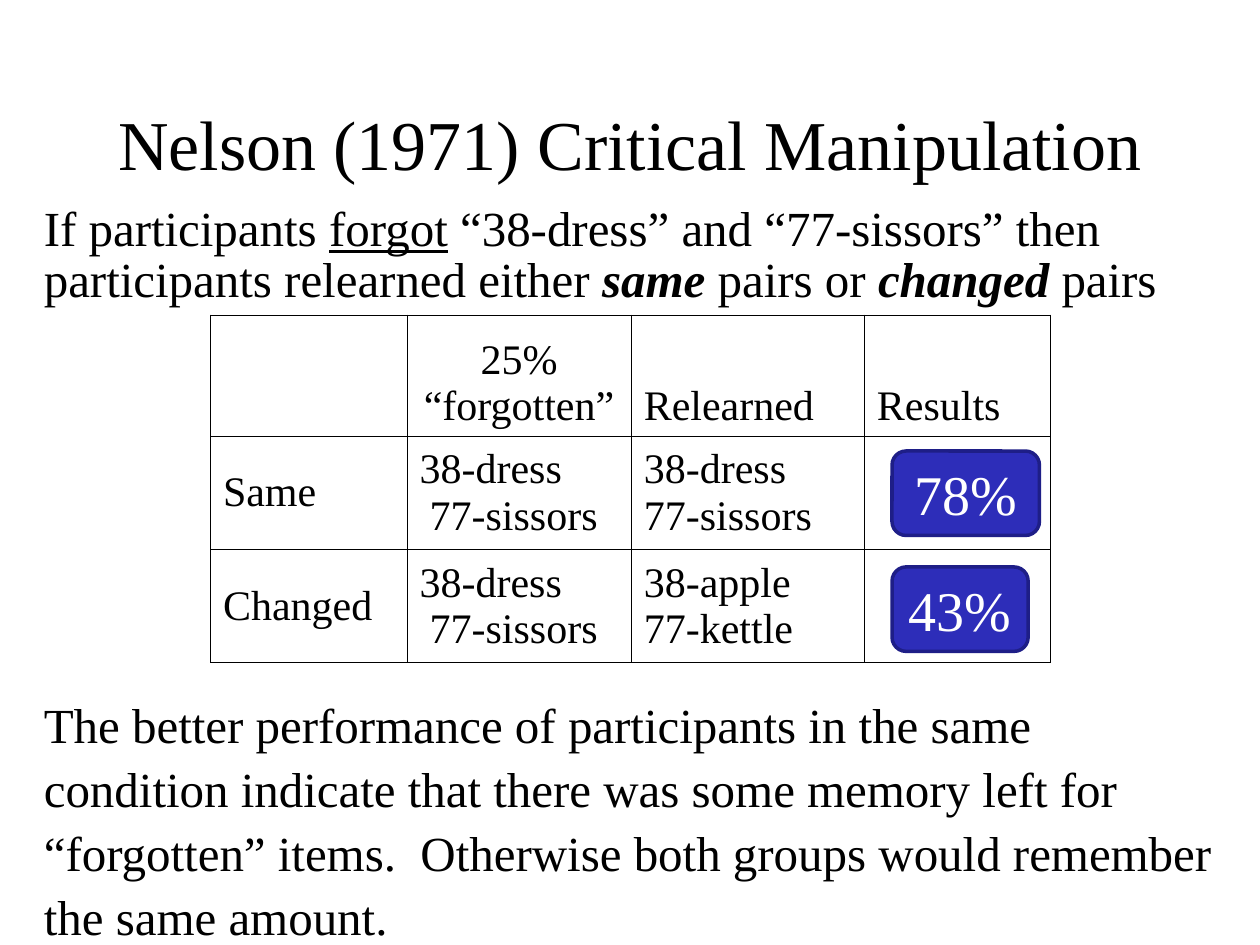
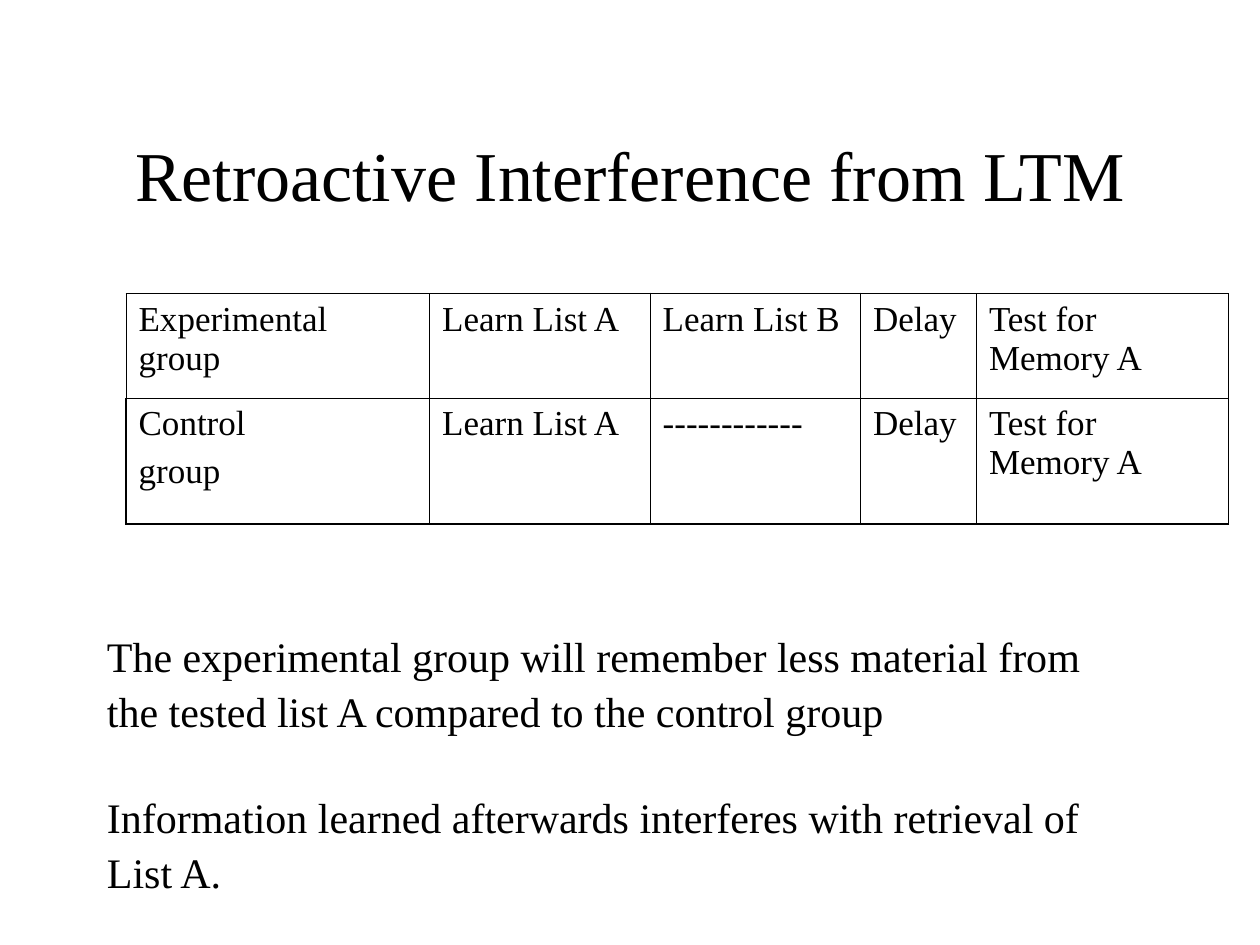
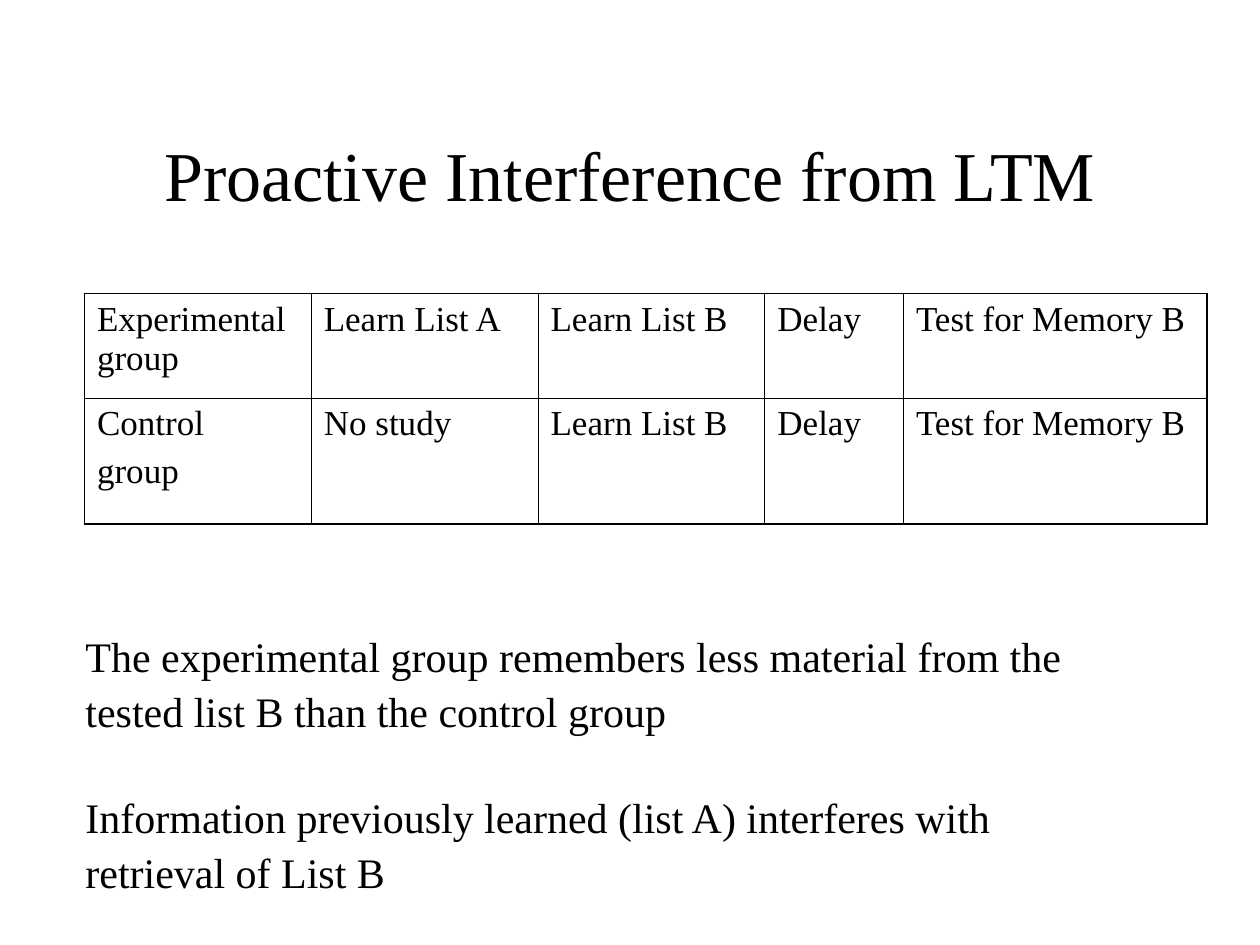
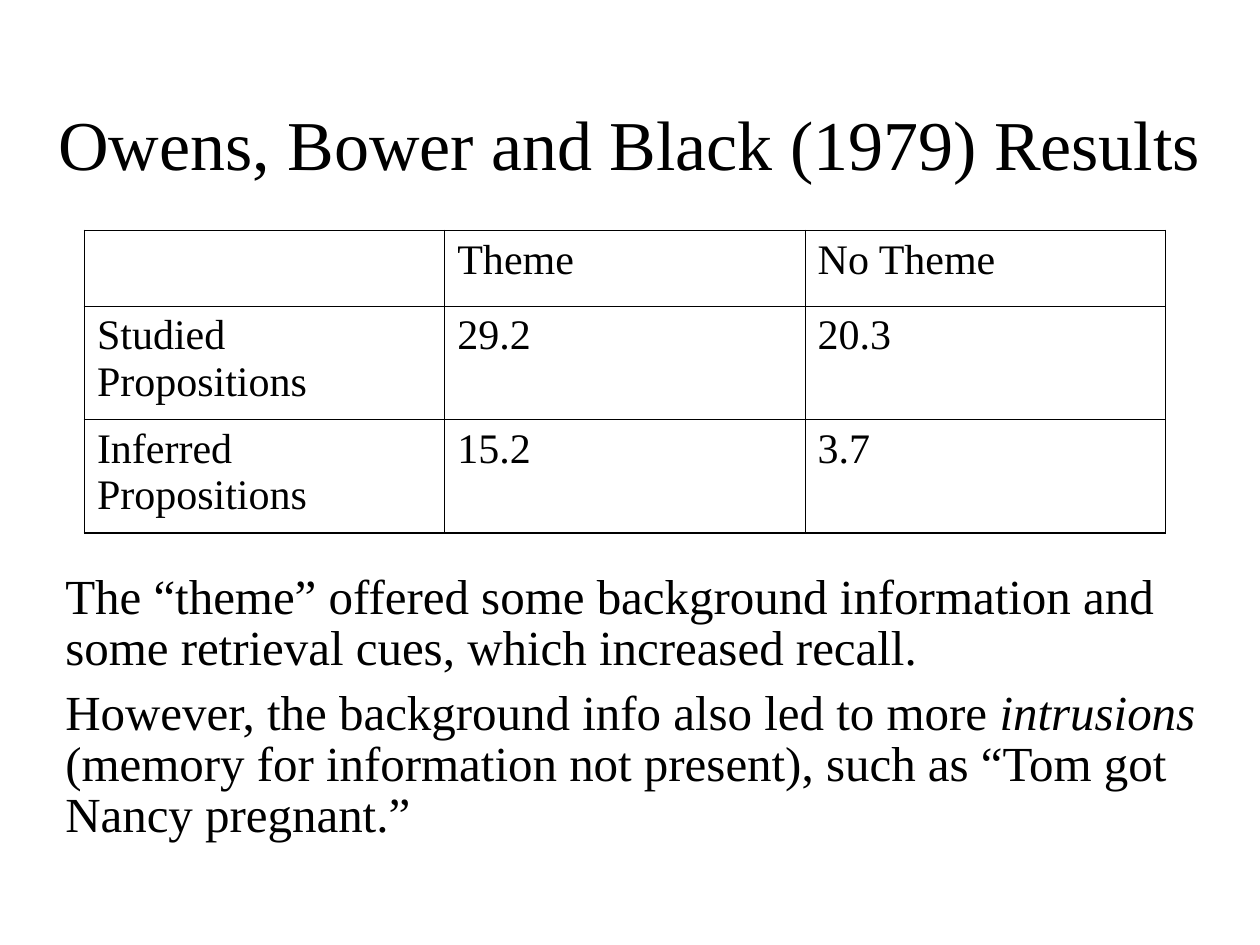
from dataclasses import dataclass
from typing import NamedTuple

from lxml import etree
from pptx import Presentation
from pptx.dml.color import RGBColor
from pptx.enum.shapes import MSO_SHAPE
from pptx.enum.text import MSO_ANCHOR, MSO_AUTO_SIZE, PP_ALIGN
from pptx.oxml.ns import qn
from pptx.util import Inches, Pt

LEFT, CENTER = PP_ALIGN.LEFT, PP_ALIGN.CENTER
TOP, MIDDLE, BOTTOM = MSO_ANCHOR.TOP, MSO_ANCHOR.MIDDLE, MSO_ANCHOR.BOTTOM
NO_AUTOFIT = MSO_AUTO_SIZE.NONE
ROUNDED_BOX = MSO_SHAPE.FLOWCHART_ALTERNATE_PROCESS
TITLE_ONLY = 5


@dataclass(frozen=True)
class Theme:
    font: str = "Times New Roman"
    ink: str = "000000"
    paper: str = "FFFFFF"
    badge_fill: str = "2D2DB9"
    badge_line: str = "1E1E87"
    title_size: int = 40
    badge_size: int = 32
    body_size: int = 28
    note_size: int = 24
    group_size: int = 20
    thin: float = 0.45
    thick: float = 1.08
    tight: float = 0.87
    loose: float = 1.09


class Box(NamedTuple):
    left: float
    top: float
    width: float
    height: float

    def lengths(self):
        return [Inches(value) for value in self]


class Run(NamedTuple):
    text: str
    bold: bool = False
    italic: bool = False
    underline: bool = False


class Cell(NamedTuple):
    lines: tuple = ()
    anchor: MSO_ANCHOR = TOP
    align: PP_ALIGN = LEFT
    hanging: float = 0


THEME = Theme()


# Text shared by titles, boxes, cells and badges
def write(frame, paragraphs, size, align=LEFT, color=THEME.ink, spacing=None, gap=0):
    """Each paragraph is a string or a list of runs."""
    for index, content in enumerate(paragraphs):
        paragraph = frame.add_paragraph() if index else frame.paragraphs[0]
        paragraph.alignment = align
        paragraph.space_before = Pt(gap if index else 0)
        if spacing:
            paragraph.line_spacing = spacing
        for part in [Run(content)] if isinstance(content, str) else content:
            run = paragraph.add_run()
            run.text = part.text
            font = run.font
            font.name, font.size = THEME.font, Pt(size)
            font.color.rgb = RGBColor.from_string(color)
            font.bold, font.italic, font.underline = part.bold, part.italic, part.underline


def add_titled_slide(presentation, title, box):
    slide = presentation.slides.add_slide(presentation.slide_layouts[TITLE_ONLY])
    slide.background.fill.solid()
    slide.background.fill.fore_color.rgb = RGBColor.from_string(THEME.paper)
    placeholder = slide.shapes.title
    placeholder.left, placeholder.top, placeholder.width, placeholder.height = box.lengths()
    frame = placeholder.text_frame
    frame.auto_size, frame.vertical_anchor = NO_AUTOFIT, MIDDLE
    write(frame, [title], THEME.title_size, CENTER)
    return slide


def add_text(slide, box, paragraphs, size, spacing, gap=0):
    frame = slide.shapes.add_textbox(*box.lengths()).text_frame
    frame.word_wrap = True
    write(frame, paragraphs, size, spacing=spacing, gap=gap)


def add_badge(slide, box, text):
    shape = slide.shapes.add_shape(ROUNDED_BOX, *box.lengths())
    shape.shadow.inherit = False
    shape.fill.solid()
    shape.fill.fore_color.rgb = RGBColor.from_string(THEME.badge_fill)
    shape.line.color.rgb = RGBColor.from_string(THEME.badge_line)
    shape.line.width = Pt(2)
    shape.text_frame.vertical_anchor = MIDDLE
    write(shape.text_frame, [text], THEME.badge_size, CENTER, THEME.paper)


# Tables
def set_borders(cell, widths):
    """Draw the four edges, given in the order left, right, top, bottom."""
    properties = cell._tc.get_or_add_tcPr()
    for index, (side, width) in enumerate(zip(("L", "R", "T", "B"), widths)):
        line = etree.Element(qn(f"a:ln{side}"), w=str(int(Pt(width))))
        fill = etree.SubElement(line, qn("a:solidFill"))
        etree.SubElement(fill, qn("a:srgbClr"), val=THEME.ink)
        properties.insert(index, line)


def add_grid(slide, left, top, columns, heights, rows, size, outline, gap=0, thin_edges=()):
    """thin_edges names outline edges, as (row, column, side), that stay thin."""
    box = Box(left, top, sum(columns), sum(heights))
    table = slide.shapes.add_table(len(rows), len(columns), *box.lengths()).table
    table.first_row = table.horz_banding = False
    for column, width in zip(table.columns, columns):
        column.width = Inches(width)
    for row, height in zip(table.rows, heights):
        row.height = Inches(height)
    for r, row in enumerate(rows):
        for c, content in enumerate(row):
            cell = table.cell(r, c)
            cell.fill.background()
            cell.vertical_anchor = content.anchor
            write(cell.text_frame, content.lines, size, content.align, gap=gap)
            if content.hanging:
                indent = Inches(content.hanging)
                properties = cell.text_frame.paragraphs[0]._p.get_or_add_pPr()
                properties.set("marL", str(indent))
                properties.set("indent", str(-indent))
            on_outline = {"L": c == 0, "R": c == len(columns) - 1,
                          "T": r == 0, "B": r == len(rows) - 1}
            set_borders(cell, [outline if outer and (r, c, side) not in thin_edges else THEME.thin
                               for side, outer in on_outline.items()])


# Slide types
def build_manipulation_slide(presentation):
    slide = add_titled_slide(presentation, "Nelson (1971) Critical Manipulation",
                             Box(0.75, 0.92, 8.5, 0.42))
    add_text(slide, Box(0.25, 1.58, 9.5, 0.92), [[
        Run("If participants "), Run("forgot", underline=True),
        Run(" “38-dress” and “77-sissors” then participants relearned either "),
        Run("same", bold=True, italic=True), Run(" pairs or "),
        Run("changed ", bold=True, italic=True), Run("pairs"),
    ]], THEME.body_size, THEME.tight)

    studied = "38-dress 77-sissors"
    header = [Cell(), Cell(("25% “forgotten”",), BOTTOM, CENTER),
              Cell(("Relearned",), BOTTOM), Cell(("Results",), BOTTOM)]
    groups = [[Cell((group,), MIDDLE), Cell((studied,), MIDDLE, hanging=0.08),
               Cell((relearned,), MIDDLE), Cell()]
              for group, relearned in (("Same", studied), ("Changed", "38-apple 77-kettle"))]
    add_grid(slide, 1.67, 2.5, [1.56, 1.78, 1.85, 1.48], [0.96, 0.9, 0.9],
             [header, *groups], THEME.note_size, THEME.thin)

    add_text(slide, Box(0.25, 5.42, 9.5, 2.44), [
        "The better performance of participants in the same condition indicate that there was "
        "some memory left for “forgotten” items.  Otherwise both groups would remember the "
        "same amount."], THEME.body_size, THEME.loose)
    for index, (score, width) in enumerate((("78%", 1.17), ("43%", 1.08))):
        add_badge(slide, Box(7.08, 3.58 + 0.92 * index, width, 0.67), score)


def build_interference_slide(presentation, title, table_left, columns, steps, note_box, notes):
    """Compare the steps of an experimental and a control group."""
    slide = add_titled_slide(presentation, title, Box(0.75, 1.17, 8.5, 0.42))
    groups = (("Experimental group",), ("Control", "group"))
    rows = [[Cell(group)] + [Cell((step,)) for step in group_steps]
            for group, group_steps in zip(groups, steps)]
    last = len(columns) - 1
    add_grid(slide, table_left, 2.33, columns, [0.83, 1], rows, THEME.group_size, THEME.thick,
             gap=5, thin_edges={(0, 0, "L"), (0, 0, "T"), (0, last, "T")})
    add_text(slide, note_box, notes, THEME.note_size, THEME.loose, gap=29)


def build_results_slide(presentation):
    slide = add_titled_slide(presentation, "Owens, Bower and Black (1979) Results",
                             Box(0.33, 0.92, 9.33, 0.42))
    values = [("Theme", "No Theme"), ("29.2", "20.3"), ("15.2", "3.7")]
    labels = [(), ("Studied Propositions",), ("Inferred Propositions",)]
    rows = [[Cell(label)] + [Cell((value,)) for value in row]
            for label, row in zip(labels, values)]
    add_grid(slide, 0.67, 1.83, [2.86] * 3, [0.6, 0.9, 0.9], rows, THEME.note_size, THEME.thick)
    add_text(slide, Box(0.42, 4.5, 9.17, 2.25), [
        "The “theme” offered some background information and some retrieval cues, "
        "which increased recall.",
        [Run("However, the background info also led to more "), Run("intrusions ", italic=True),
         Run("(memory for information not present), such as “Tom got Nancy pregnant.”")],
    ], THEME.body_size, THEME.tight, gap=8)


def main():
    presentation = Presentation()
    presentation.slide_width, presentation.slide_height = Inches(10), Inches(7.5)
    build_manipulation_slide(presentation)
    build_interference_slide(
        presentation, "Retroactive Interference from LTM", 1, [2.41, 1.75, 1.67, 0.92, 2],
        [("Learn List A", "Learn List B", "Delay", "Test for Memory A"),
         ("Learn List A", "------------", "Delay", "Test for Memory A")],
        Box(0.75, 4.92, 8.25, 2.1),
        ["The experimental group will remember less material from the tested list A "
         "compared to the control group",
         "Information learned afterwards interferes with retrieval of List A."])
    build_interference_slide(
        presentation, "Proactive Interference from LTM", 0.67, [1.8, 1.8, 1.8, 1.1, 2.41],
        [("Learn List A", "Learn List B", "Delay", "Test for Memory B"),
         ("No study", "Learn List B", "Delay", "Test for Memory B")],
        Box(0.58, 4.92, 8.42, 2.1),
        ["The experimental group remembers less material from the tested list B "
         "than the control group",
         "Information previously learned (list A) interferes with retrieval of List B"])
    build_results_slide(presentation)
    presentation.save("out.pptx")


if __name__ == "__main__":
    main()
